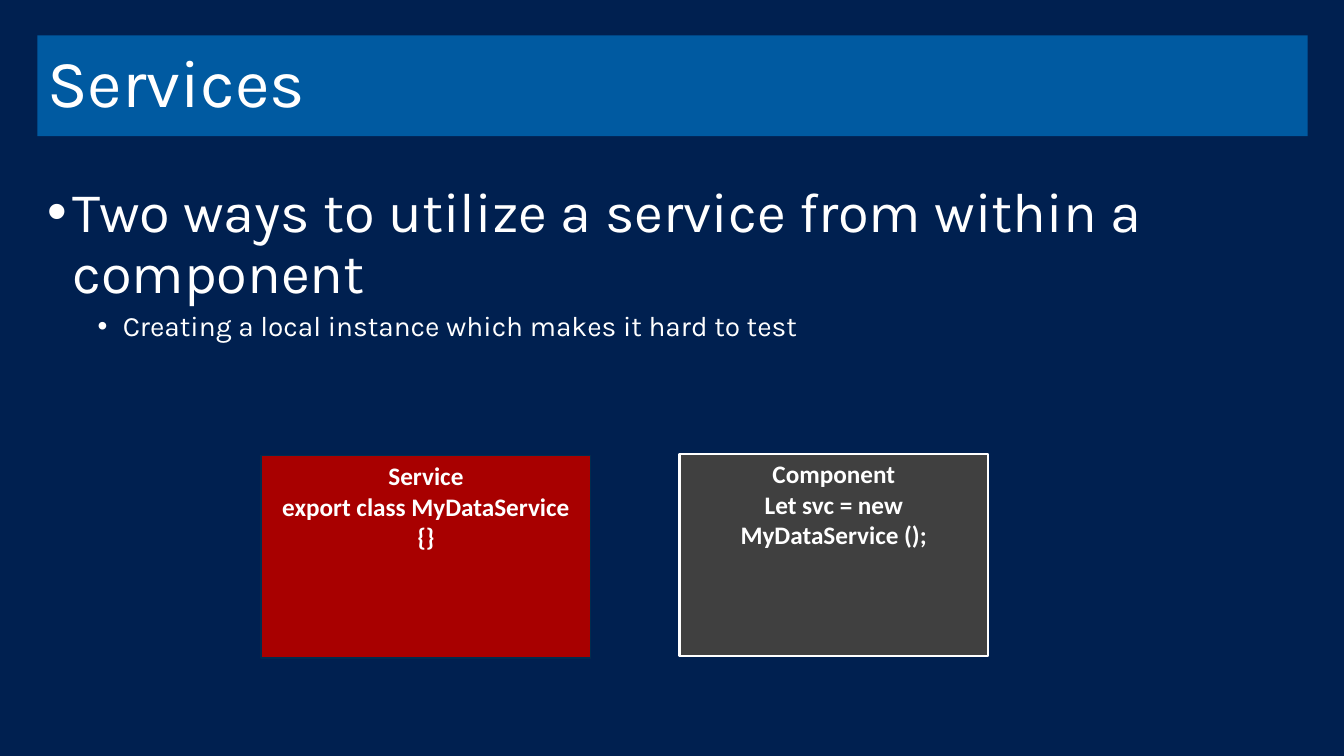
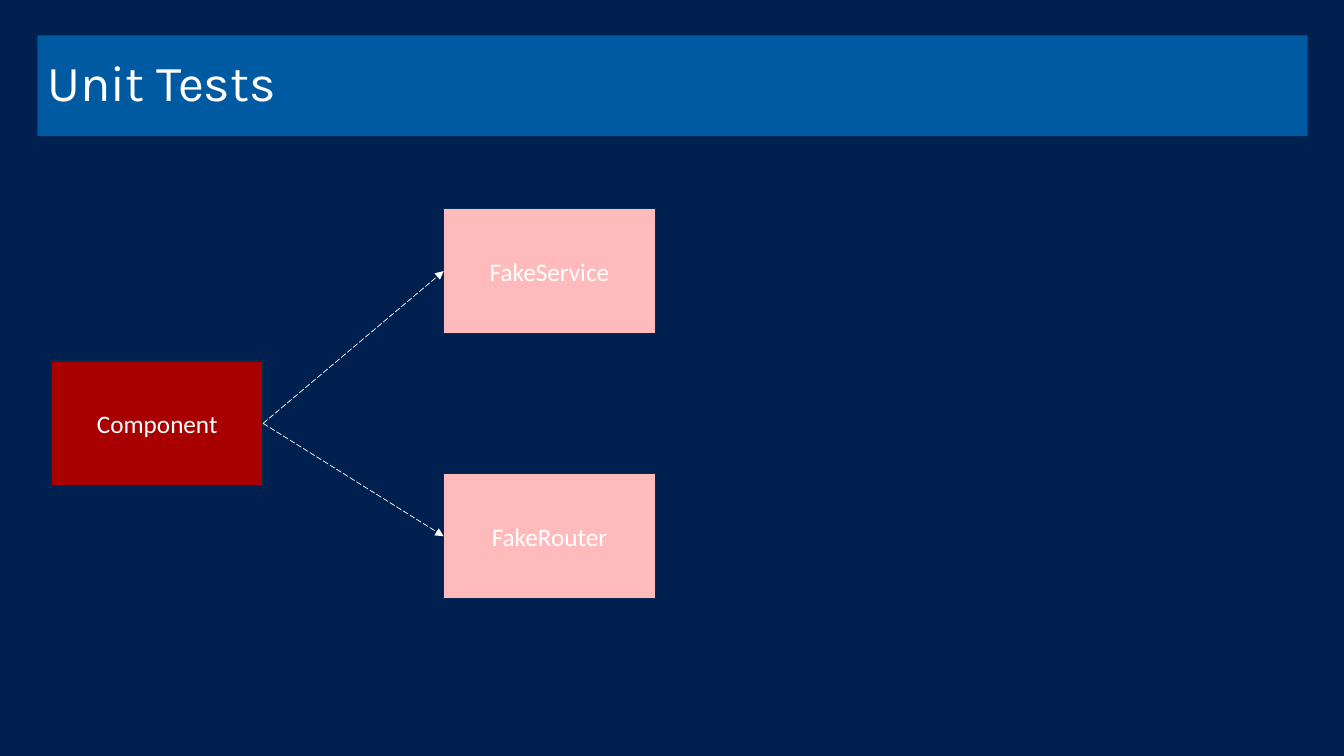
import pptx
import pptx.util
import pptx.dml.color
import pptx.enum.dml
import pptx.enum.shapes
import pptx.enum.text
import pptx.oxml
import pptx.oxml.ns
import lxml.etree

Inches, Pt = pptx.util.Inches, pptx.util.Pt
ALIGN = pptx.enum.text.PP_ALIGN
ANCHOR = pptx.enum.text.MSO_ANCHOR

NAVY, BLUE, EDGE = "002050", "005AA1", "002C4F"
RED, PINK, GRAY, WHITE = "A80000", "FFBBBB", "404040", "FFFFFF"
HEAD, BODY = "Karla", "Calibri"
LEFT, WIDE = 0.37, 12.6

# text, size, left margin, space before
POINTS = [
    ("Two ways to utilize a service from within a component", 40, 0.25, 0),
    ("Creating a local instance which makes it hard to test", 20, 0.75, 5),
]
# lines, place, fill, edge colour, edge width
CARDS = [
    (["Service", "export class MyDataService {}"],
     (2.59, 4.52, 3.27, 2.01), RED, EDGE, 1),
    (["Component", "Let svc = new MyDataService ();"],
     (6.74, 4.5, 3.06, 2.01), GRAY, WHITE, 1.5),
]
NODE = (2.1, 1.24)
ROOT = ("Component", 0.51, 3.58)
FAKES = [("FakeService", 4.4, 2.07), ("FakeRouter", 4.4, 4.7)]


def rgb(code):
    return pptx.dml.color.RGBColor.from_string(code)


def paint(part, code):
    part.fill.solid()
    part.fill.fore_color.rgb = rgb(code)


def place(shape, spot):
    shape.left, shape.top, shape.width, shape.height = map(Inches, spot)


def style(para, face, size, bold=False):
    para.font.name, para.font.size, para.font.bold = face, Pt(size), bold
    para.font.color.rgb = rgb(WHITE)


def start(deck, text, size):
    """Add a slide with the shared background and title band."""
    slide = deck.slides.add_slide(deck.slide_layouts[5])
    paint(slide.background, NAVY)
    title = slide.shapes.title
    place(title, (LEFT, 0.35, WIDE, 1))
    paint(title, BLUE)
    frame = title.text_frame
    frame.text = text
    frame.word_wrap = True
    frame.auto_size = pptx.enum.text.MSO_AUTO_SIZE.NONE
    frame.vertical_anchor = ANCHOR.MIDDLE
    para = frame.paragraphs[0]
    para.alignment, para.line_spacing = ALIGN.LEFT, 0.9
    style(para, HEAD, size)
    return slide


def bullets(slide, points):
    box = slide.shapes.add_textbox(*map(Inches, (LEFT, 1.78, WIDE, 4.96)))
    frame = box.text_frame
    frame.word_wrap = True
    frame.text = "\n".join(point[0] for point in points)
    for level, (para, point) in enumerate(zip(frame.paragraphs, points)):
        _, size, margin, before = point
        para.level = level
        props = para._p.get_or_add_pPr()
        props.set("marL", str(Inches(margin)))
        props.set("indent", str(Inches(-0.25)))
        for tag, key, value in (("a:buFont", "typeface", "Arial"),
                                ("a:buChar", "char", "•")):
            mark = lxml.etree.SubElement(props, pptx.oxml.ns.qn(tag))
            mark.set(key, value)
        para.line_spacing, para.space_before = 0.9, Pt(before)
        style(para, HEAD, size)


def block(slide, lines, spot, fill, edge=EDGE, width=1,
          anchor=ANCHOR.MIDDLE, bold=False):
    kind = pptx.enum.shapes.MSO_SHAPE.RECTANGLE
    shape = slide.shapes.add_shape(kind, *map(Inches, spot))
    shape.shadow.inherit = False
    paint(shape, fill)
    shape.line.color.rgb, shape.line.width = rgb(edge), Pt(width)
    frame = shape.text_frame
    frame.word_wrap = True
    frame.vertical_anchor = anchor
    frame.text = "\n".join(lines)
    for para in frame.paragraphs:
        para.alignment = ALIGN.CENTER
        style(para, BODY, 18, bold)
    return shape


def arrow(slide, source, target):
    """Join the right side of source to the left side of target."""
    kind = pptx.enum.shapes.MSO_CONNECTOR.STRAIGHT
    link = slide.shapes.add_connector(kind, 0, 0, 0, 0)
    link.begin_connect(source, 3)
    link.end_connect(target, 1)
    link.line.color.rgb, link.line.width = rgb(WHITE), Pt(0.5)
    link.line.dash_style = pptx.enum.dml.MSO_LINE.LONG_DASH
    qn = pptx.oxml.ns.qn
    tip = lxml.etree.SubElement(link.line._get_or_add_ln(), qn("a:tailEnd"))
    tip.set("type", "triangle")
    lxml.etree.SubElement(link._element.spPr, qn("a:effectLst"))


def main():
    deck = pptx.Presentation()
    deck.slide_width, deck.slide_height = Inches(13.33), Inches(7.5)

    slide = start(deck, "Services", 48)
    bullets(slide, POINTS)
    for card in CARDS:
        block(slide, *card, anchor=ANCHOR.TOP, bold=True)

    slide = start(deck, "Unit Tests", 36)
    name, *spot = ROOT
    root = block(slide, [name], (*spot, *NODE), RED)
    for name, *spot in FAKES:
        fake = block(slide, [name], (*spot, *NODE), PINK)
        arrow(slide, root, fake)

    deck.save("out.pptx")


if __name__ == "__main__":
    main()
